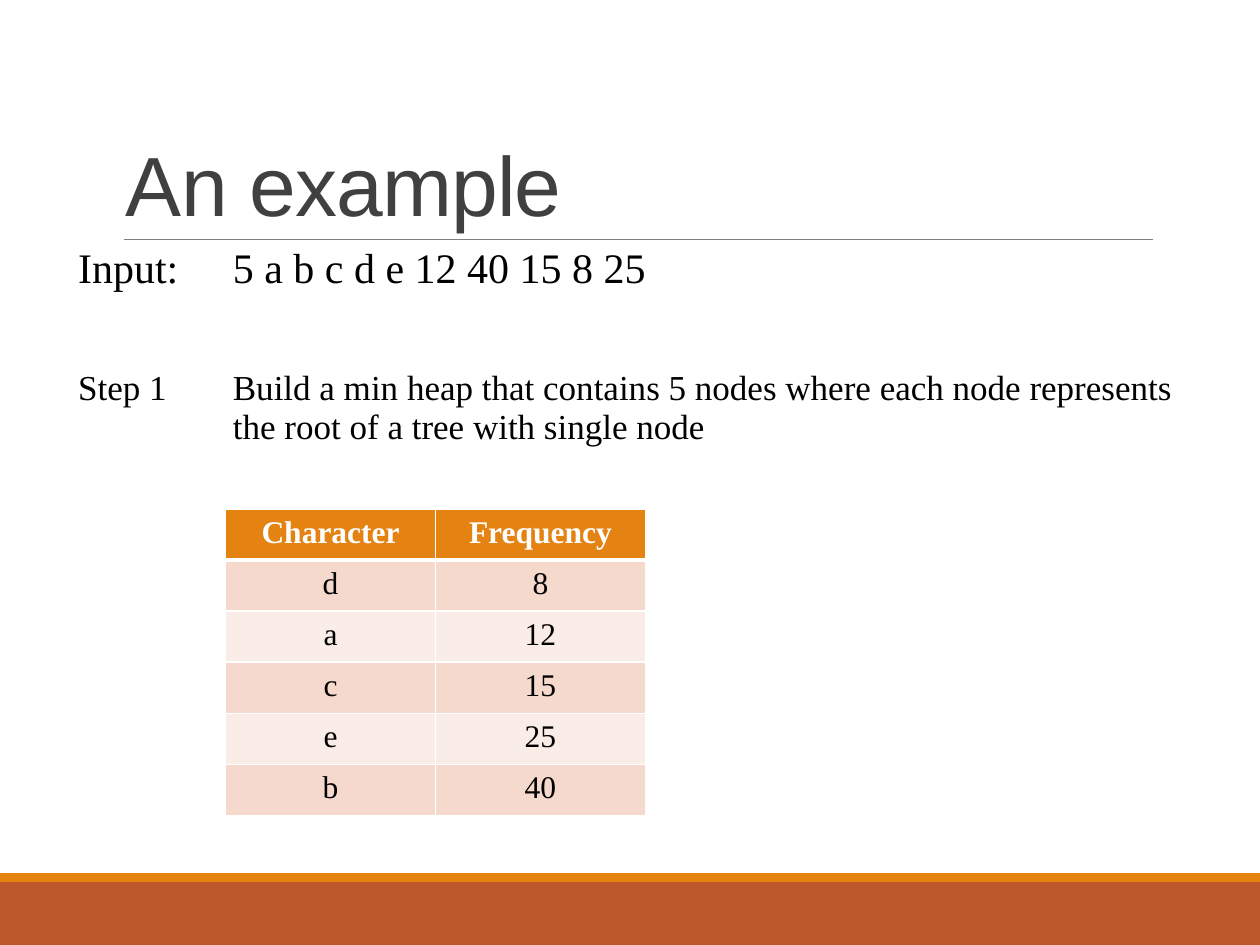
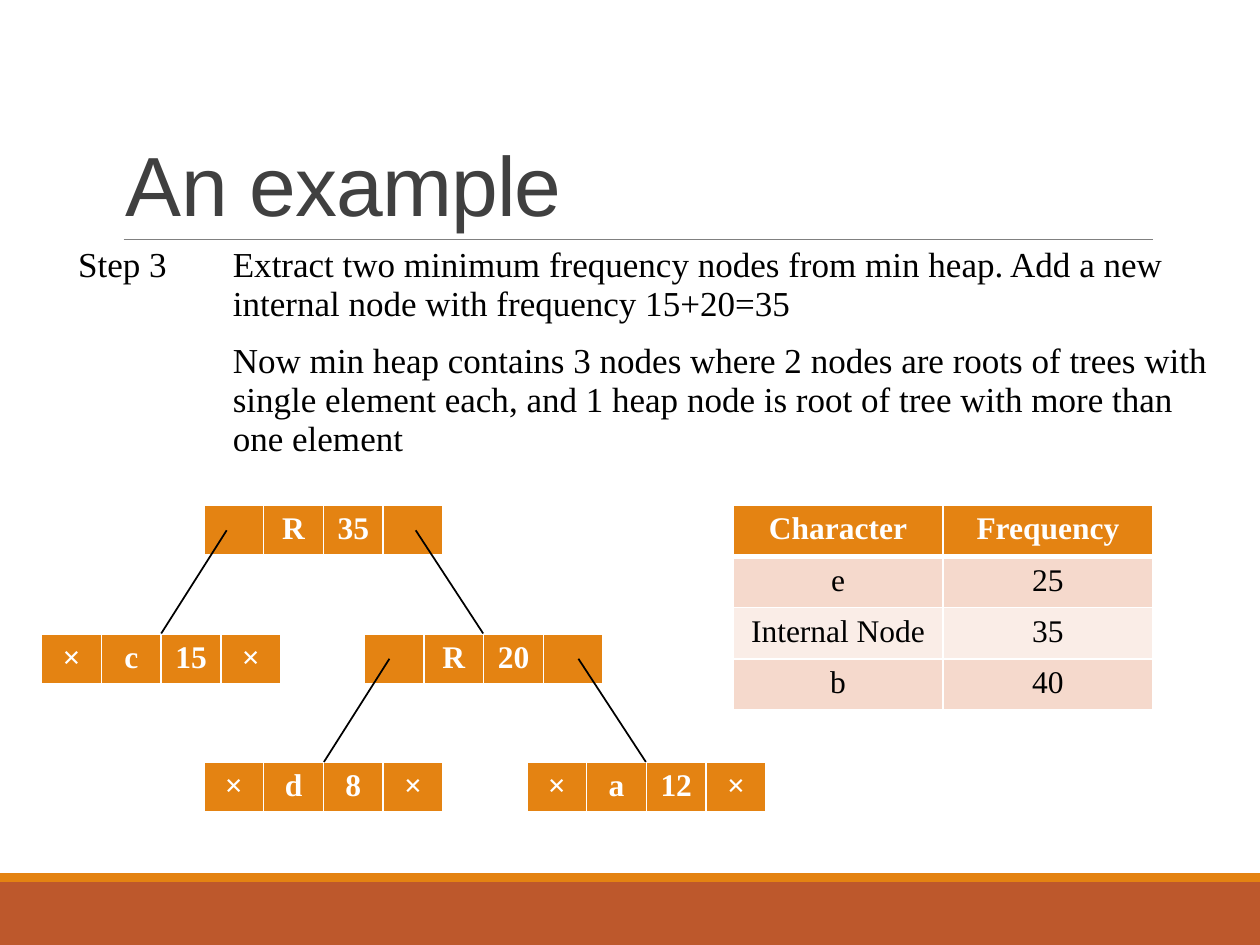
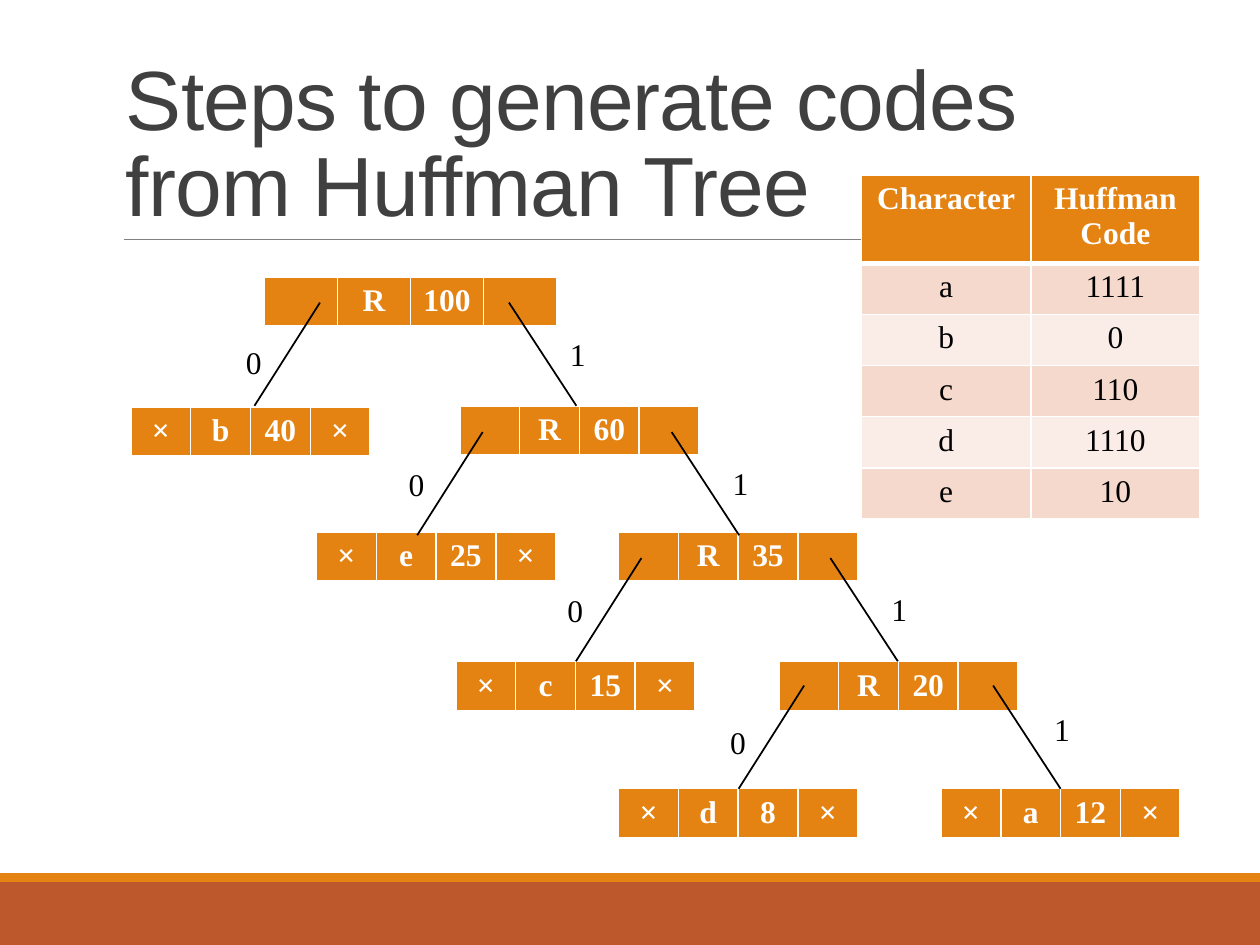
from lxml.etree import SubElement
from pptx import Presentation
from pptx.dml.color import RGBColor
from pptx.enum.shapes import MSO_CONNECTOR, MSO_SHAPE
from pptx.enum.text import MSO_ANCHOR as Anchor, PP_ALIGN as Align
from pptx.oxml.ns import qn
from pptx.util import Cm, Pt

COLORS = {
    "title": "404040",
    "rule": "808080",
    "orange": "E48312",
    "rust": "BD582C",
    "dark_band": "F5D9CC",
    "light_band": "FAEDE7",
    "white": "FFFFFF",
    "black": "000000",
}
HEADING_FONT = "Arial"
BODY_FONT = "Times New Roman"
PLAIN_TABLE_STYLE = "{2D5ABB26-0587-4C30-8999-92F81FD0307C}"
ROW_HEIGHT = 1.03
NODE_WIDTH = 4.82
END = "×"


def color(name):
    return RGBColor.from_string(COLORS[name])


def write(text_frame, text, size=18, font=BODY_FONT, ink="black", bold=False,
          align=Align.LEFT):
    paragraph = text_frame.paragraphs[0]
    paragraph.alignment = align
    if not text:
        # A small end mark keeps an empty cell from stretching its row.
        paragraph._p.get_or_add_endParaRPr().set("sz", "1200")
        return paragraph
    run = paragraph.add_run()
    run.text = text
    run.font.name = font
    run.font.size = Pt(size)
    run.font.bold = bold
    run.font.color.rgb = color(ink)
    return paragraph


def add_text_box(slide, text, left, top, width, height, anchor=Anchor.TOP, **style):
    box = slide.shapes.add_textbox(Cm(left), Cm(top), Cm(width), Cm(height))
    box.text_frame.word_wrap = True
    box.text_frame.vertical_anchor = anchor
    return write(box.text_frame, text, **style)


def add_band(slide, top, height, fill):
    band = slide.shapes.add_shape(
        MSO_SHAPE.RECTANGLE, 0, Cm(top), Cm(25.4), Cm(height))
    band.shadow.inherit = False
    band.fill.solid()
    band.fill.fore_color.rgb = color(fill)
    band.line.fill.background()


def add_line(slide, start, end, ink="black", width=1):
    line = slide.shapes.add_connector(
        MSO_CONNECTOR.STRAIGHT, *(Cm(value) for value in (*start, *end)))
    line.line.color.rgb = color(ink)
    line.line.width = Pt(width)
    SubElement(line._element.spPr, qn("a:effectLst"))


def add_slide(presentation, title):
    slide = presentation.slides.add_slide(presentation.slide_layouts[6])
    add_band(slide, 17.78, 1.27, "rust")
    add_band(slide, 17.6, 0.18, "orange")
    add_line(slide, (2.49, 4.83), (23.24, 4.83), "rule", 0.5)
    paragraph = add_text_box(slide, title, 2.29, 0.79, 20.96, 4.04, Anchor.BOTTOM,
                             size=48, font=HEADING_FONT, ink="title")
    paragraph.line_spacing = 0.85
    paragraph.runs[0].font._element.set("spc", "-50")
    return slide


def add_plain_table(slide, left, top, column_widths, row_heights):
    frame = slide.shapes.add_table(
        len(row_heights), len(column_widths), Cm(left), Cm(top),
        Cm(sum(column_widths)), Cm(sum(row_heights)))
    table = frame.table
    table.first_row = table.horz_banding = False
    table._tbl.tblPr.find(qn("a:tableStyleId")).text = PLAIN_TABLE_STYLE
    for column, width in zip(table.columns, column_widths):
        column.width = Cm(width)
    for row, height in zip(table.rows, row_heights):
        row.height = Cm(height)
    return table


def fill_cell(cell, text, fill, bottom=1, **style):
    """Write centred text in a filled cell with white borders."""
    write(cell.text_frame, text, align=Align.CENTER, **style)
    properties = cell._tc.get_or_add_tcPr()
    for side, width in (("L", 1), ("R", 1), ("T", 1), ("B", bottom)):
        border = SubElement(properties, qn(f"a:ln{side}"), w=str(Pt(width)))
        solid = SubElement(border, qn("a:solidFill"))
        SubElement(solid, qn("a:srgbClr"), val=COLORS["white"])
    cell.fill.solid()
    cell.fill.fore_color.rgb = color(fill)


def add_steps(slide, rows, row_heights):
    """Lay out rows of (label, text, size) below the title rule."""
    table = add_plain_table(slide, 1.32, 4.83, [3.12, 20.3], row_heights)
    for index, (label, text, size) in enumerate(rows):
        write(table.cell(index, 0).text_frame, label, size=size)
        write(table.cell(index, 1).text_frame, text, size=size)


def add_data_table(slide, left, top, header, rows, column_width=4.23,
                   header_height=ROW_HEIGHT):
    heights = [header_height] + [ROW_HEIGHT] * len(rows)
    table = add_plain_table(slide, left, top, [column_width] * len(header), heights)
    for column, text in enumerate(header):
        fill_cell(table.cell(0, column), text, "orange", bottom=3,
                  ink="white", bold=True)
    for index, row in enumerate(rows):
        for column, text in enumerate(row):
            fill_cell(table.cell(index + 1, column), text,
                      "light_band" if index % 2 else "dark_band")


def add_node(slide, name, frequency, left, top, width=NODE_WIDTH, height=ROW_HEIGHT):
    """Draw a tree node; the root of a subtree is named R and has open ends."""
    table = add_plain_table(slide, left, top, [width / 4] * 4, [height])
    end = "" if name == "R" else END
    for column, text in enumerate((end, name, frequency, end)):
        fill_cell(table.cell(0, column), text, "orange", bottom=3,
                  ink="white", bold=True)


def add_fork(slide, left, top):
    """Draw the two links from a node to its children."""
    right, bottom = left + 3.81, top + 2.08
    add_line(slide, (left, top), (left - 1.32, bottom))
    add_line(slide, (right, top), (right + 1.36, bottom))


def add_fork_labels(slide, left, top, zero_drop, one_drop):
    add_text_box(slide, "0", left - 1.74, top + zero_drop, 0.81, 1.02)
    add_text_box(slide, "1", left + 4.79, top + one_drop, 0.81, 1.02)


def build_heap_slide(presentation):
    slide = add_slide(presentation, "An example")
    add_steps(slide, [
        ("Input:", "5 a b c d e 12 40 15 8 25", 24),
        ("", "", 24),
        ("Step 1", "Build a min heap that contains 5 nodes where each node "
                   "represents the root of a tree with single node", 20),
    ], [1.19, 1.21, 2.1])
    add_data_table(slide, 4.55, 10.26, ("Character", "Frequency"), [
        ("d", "8"), ("a", "12"), ("c", "15"), ("e", "25"), ("b", "40")])


def build_merge_slide(presentation):
    slide = add_slide(presentation, "An example")
    add_steps(slide, [
        ("Step 3", "Extract two minimum frequency nodes from min heap. Add a new "
                   "internal node with frequency 15+20=35", 20),
        ("", "Now min heap contains 3 nodes where 2 nodes are roots of trees with "
             "single element each, and 1 heap node is root of tree with more than "
             "one element", 20),
    ], [1.83, 2.92])
    for node in (("R", "35", 4.11, 10.19), ("c", "15", 0.84, 12.78),
                 ("R", "20", 7.34, 12.78), ("d", "8", 4.11, 15.37),
                 ("a", "12", 10.62, 15.37)):
        add_node(slide, *node)
    for left, top in ((4.57, 10.69), (7.85, 13.28)):
        add_fork(slide, left, top)
    add_data_table(slide, 14.78, 10.19, ("Character", "Frequency"), [
        ("e", "25"), ("Internal Node", "35"), ("b", "40")])


def build_codes_slide(presentation):
    slide = add_slide(presentation, "Steps to generate codes from Huffman Tree")
    add_node(slide, "R", "100", 5.33, 5.59, width=5.89, height=0.95)
    for node in (("b", "40", 2.64, 8.2), ("R", "60", 9.27, 8.18),
                 ("e", "25", 6.38, 10.72), ("R", "35", 12.47, 10.72),
                 ("c", "15", 9.19, 13.34), ("R", "20", 15.7, 13.34),
                 ("d", "8", 12.47, 15.9), ("a", "12", 18.97, 15.9)):
        add_node(slide, *node, height=0.95)
    for left, top, zero_drop, one_drop in (
            (6.45, 6.1, 0.69, 0.53), (9.73, 8.71, 0.53, 0.51),
            (12.93, 11.25, 0.53, 0.51), (16.21, 13.82, 0.64, 0.36)):
        add_fork(slide, left, top)
        add_fork_labels(slide, left, top, zero_drop, one_drop)
    add_data_table(slide, 17.37, 3.53, ("Character", "Huffman Code"), [
        ("a", "1111"), ("b", "0"), ("c", "110"), ("d", "1110"), ("e", "10")],
        column_width=3.41, header_height=1.78)


def main():
    presentation = Presentation()
    presentation.slide_width = Cm(25.4)
    presentation.slide_height = Cm(19.05)
    build_heap_slide(presentation)
    build_merge_slide(presentation)
    build_codes_slide(presentation)
    presentation.save("out.pptx")


if __name__ == "__main__":
    main()
